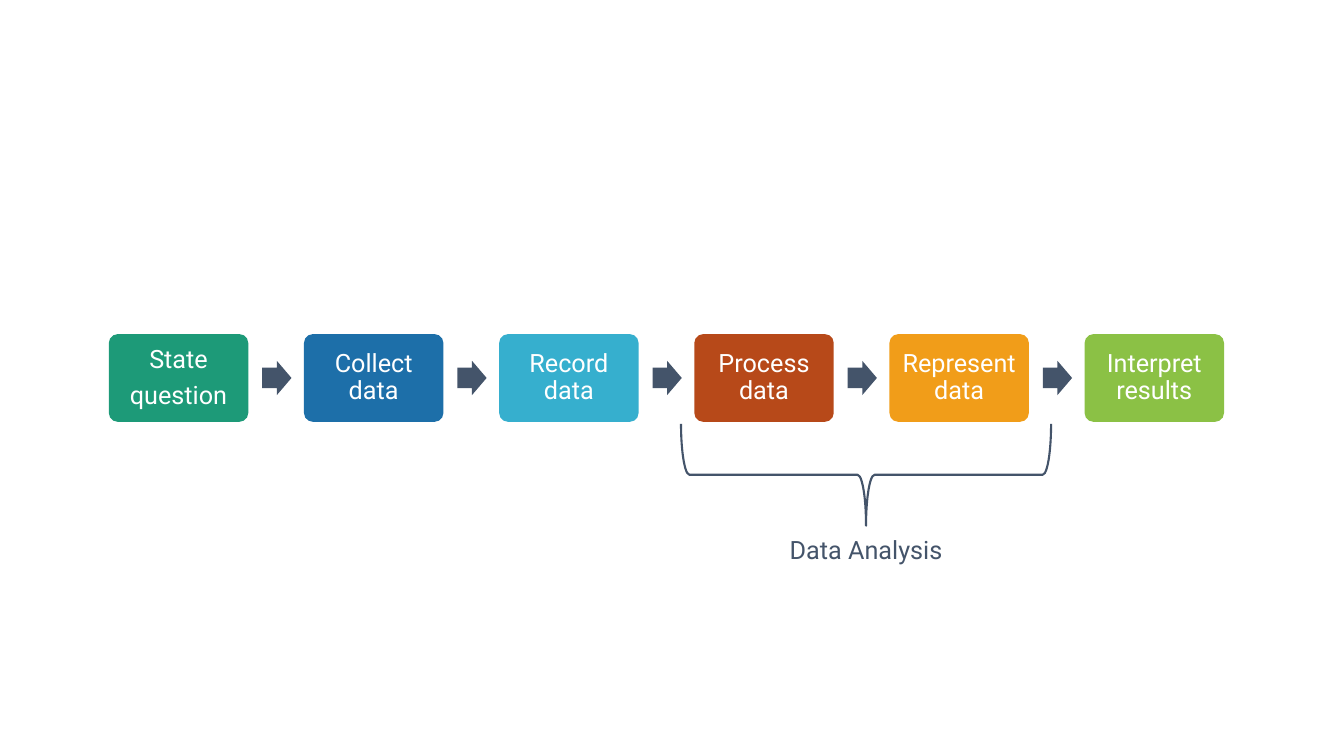
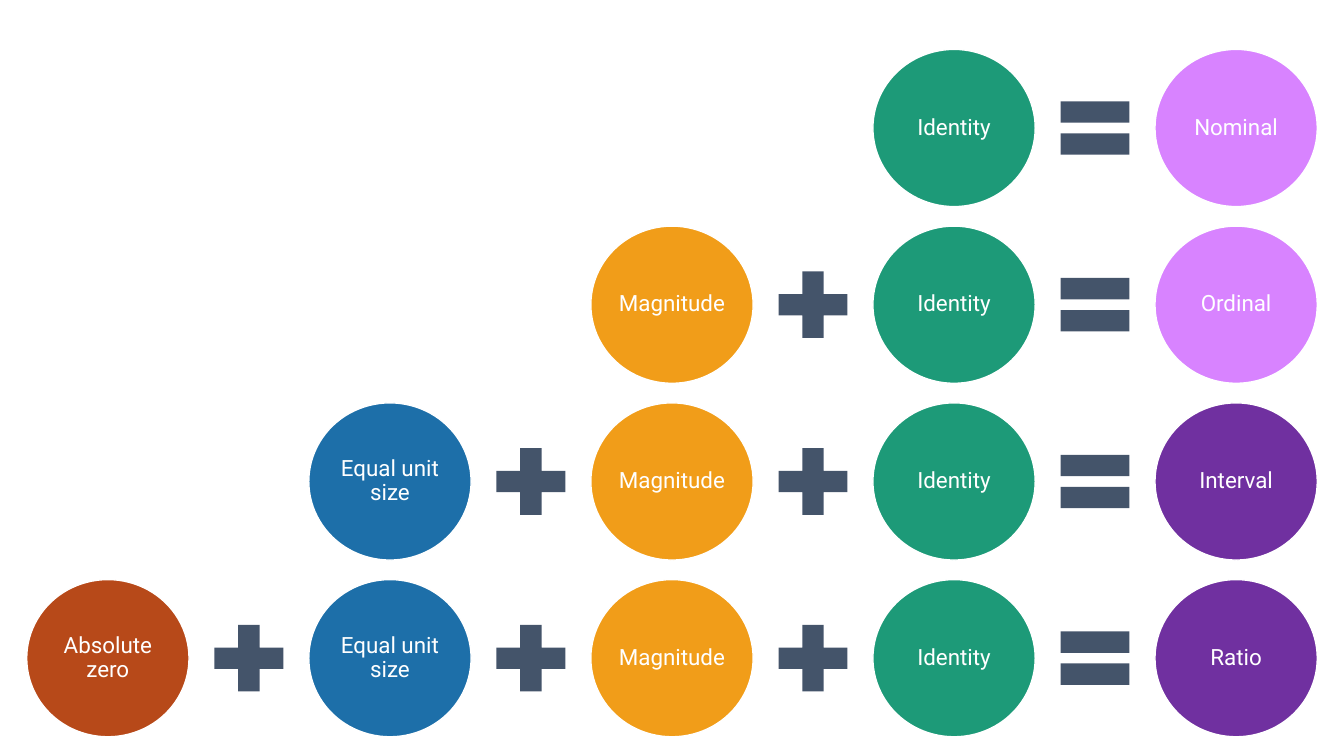
from pptx import Presentation
from pptx.dml.color import RGBColor
from pptx.enum.shapes import MSO_SHAPE
from pptx.enum.text import MSO_ANCHOR, PP_ALIGN
from pptx.util import Inches, Pt

SLIDE_W, SLIDE_H = 13.33, 7.5
FONT = "Roboto"
WHITE, SLATE = "FFFFFF", "44546A"
GREEN, BLUE, SKY = "1D9A78", "1D6FA9", "36AFCE"
RUST, ORANGE, LIME = "B74919", "F19D19", "8BC145"
LILAC, PURPLE = "D883FF", "7030A0"

STEPS = [
    ("State\nquestion", GREEN),
    ("Collect data", BLUE),
    ("Record data", SKY),
    ("Process data", RUST),
    ("Represent data", ORANGE),
    ("Interpret results", LIME),
]
PROPERTIES = [
    ("Absolute zero", RUST),
    ("Equal unit size", BLUE),
    ("Magnitude", ORANGE),
    ("Identity", GREEN),
]
SCALES = [
    ("Nominal", LILAC),
    ("Ordinal", LILAC),
    ("Interval", PURPLE),
    ("Ratio", PURPLE),
]


def color(hex_value):
    return RGBColor.from_string(hex_value)


def write(shape, text, size=18, ink=WHITE, inset=0.07, spacing=0.9):
    tf = shape.text_frame
    tf.word_wrap = True
    tf.vertical_anchor = MSO_ANCHOR.MIDDLE
    tf.margin_left = tf.margin_right = Inches(inset)
    tf.margin_top = tf.margin_bottom = Inches(inset)
    for i, line in enumerate(text.split("\n")):
        p = tf.add_paragraph() if i else tf.paragraphs[0]
        p.alignment = PP_ALIGN.CENTER
        p.line_spacing = spacing
        p.space_before = Pt(0.35 * size if i else 0)
        r = p.add_run()
        r.text = line
        r.font.name = FONT
        r.font.size = Pt(size)
        r.font.color.rgb = color(ink)


def add_figure(s, kind, x, y, w, h, fill=None, line=None, line_width=1):
    sp = s.shapes.add_shape(kind, Inches(x), Inches(y), Inches(w), Inches(h))
    sp.shadow.inherit = False
    if fill:
        sp.fill.solid()
        sp.fill.fore_color.rgb = color(fill)
    else:
        sp.fill.background()
    if line:
        sp.line.color.rgb = color(line)
        sp.line.width = Pt(line_width)
    else:
        sp.line.fill.background()
    return sp


def add_centred(s, kind, cx, cy, w, h, **style):
    return add_figure(s, kind, cx - w / 2, cy - h / 2, w, h, **style)


def add_step(s, text, fill, cx, cy, w, h):
    sp = add_centred(s, MSO_SHAPE.ROUNDED_RECTANGLE, cx, cy, w, h, fill=fill)
    sp.adjustments[0] = 0.1
    write(sp, text)


def add_arrow(s, x, cy, w, h):
    sp = add_figure(s, MSO_SHAPE.RIGHT_ARROW, x, cy - h / 2, w, h, fill=SLATE)
    sp.adjustments[0] = 0.6
    sp.adjustments[1] = 0.5


def add_circle(s, text, fill, cx, cy):
    sp = add_centred(s, MSO_SHAPE.OVAL, cx, cy, 1.61, 1.56, fill=fill, line=WHITE)
    write(sp, text, size=16, inset=0.02)


def add_label(s, text, cx, y, w, h):
    box = s.shapes.add_textbox(Inches(cx - w / 2), Inches(y), Inches(w), Inches(h))
    write(box, text, ink=SLATE, inset=0.05, spacing=1)


def build_process(s):
    left, width, height, cy = 1.08, 11.06 / 8, 0.87, SLIDE_H / 2
    pitch = 1.4 * width
    for i, (text, fill) in enumerate(STEPS):
        x = left + i * pitch
        add_step(s, text, fill, x + width / 2, cy, width, height)
        if i < len(STEPS) - 1:
            add_arrow(s, x + 1.1 * width, cy, 0.29, 0.34)
    brace_cx = 8.59
    brace = add_centred(s, MSO_SHAPE.LEFT_BRACE, brace_cx, 4.71, 1.01, 3.67,
                        line=SLATE, line_width=1.5)
    brace.rotation = 270
    add_label(s, "Data Analysis", brace_cx, 5.25, 1.84, 0.4)


def build_scales(s):
    first_cx, first_cy = 1.07, 1.27
    col, row = 11.19 / 4, 5.26 / 3
    last = len(PROPERTIES) - 1
    for i, scale in enumerate(SCALES):
        cy = first_cy + i * row
        for j in range(last - i, last + 1):
            cx = first_cx + j * col
            sign = MSO_SHAPE.MATH_EQUAL if j == last else MSO_SHAPE.MATH_PLUS
            add_circle(s, *PROPERTIES[j], cx, cy)
            add_centred(s, sign, cx + col / 2, cy, 0.93, 0.9, fill=SLATE)
        add_circle(s, *scale, first_cx + len(PROPERTIES) * col, cy)


def main():
    prs = Presentation()
    prs.slide_width, prs.slide_height = Inches(SLIDE_W), Inches(SLIDE_H)
    blank = prs.slide_layouts[6]
    for build in (build_process, build_scales):
        build(prs.slides.add_slide(blank))
    prs.save("out.pptx")


main()
